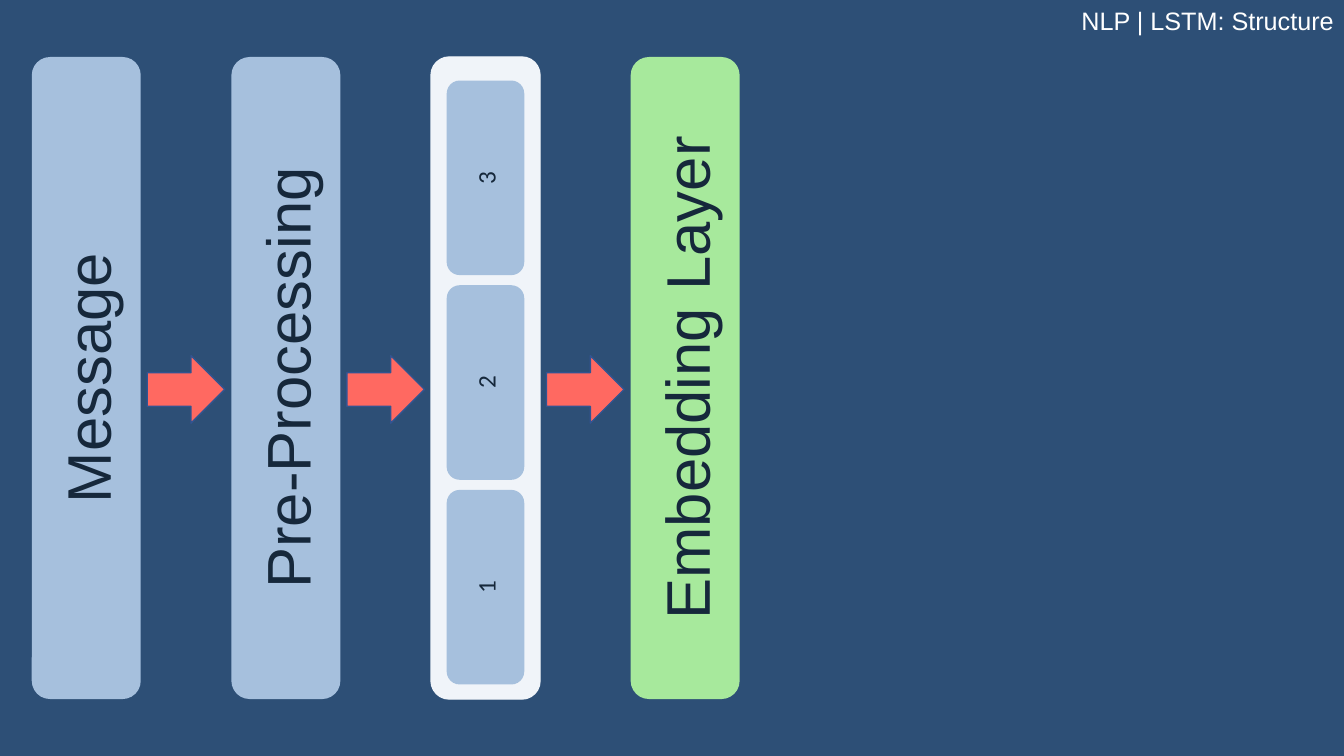
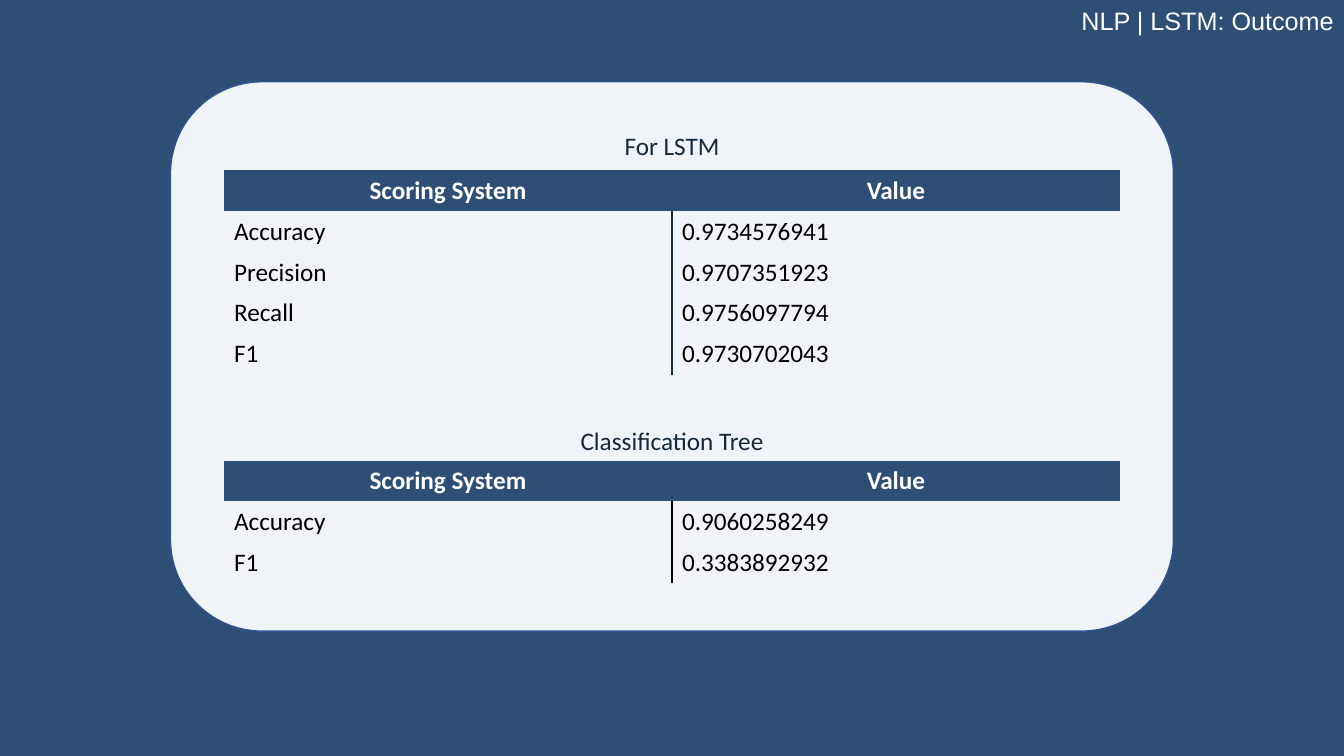
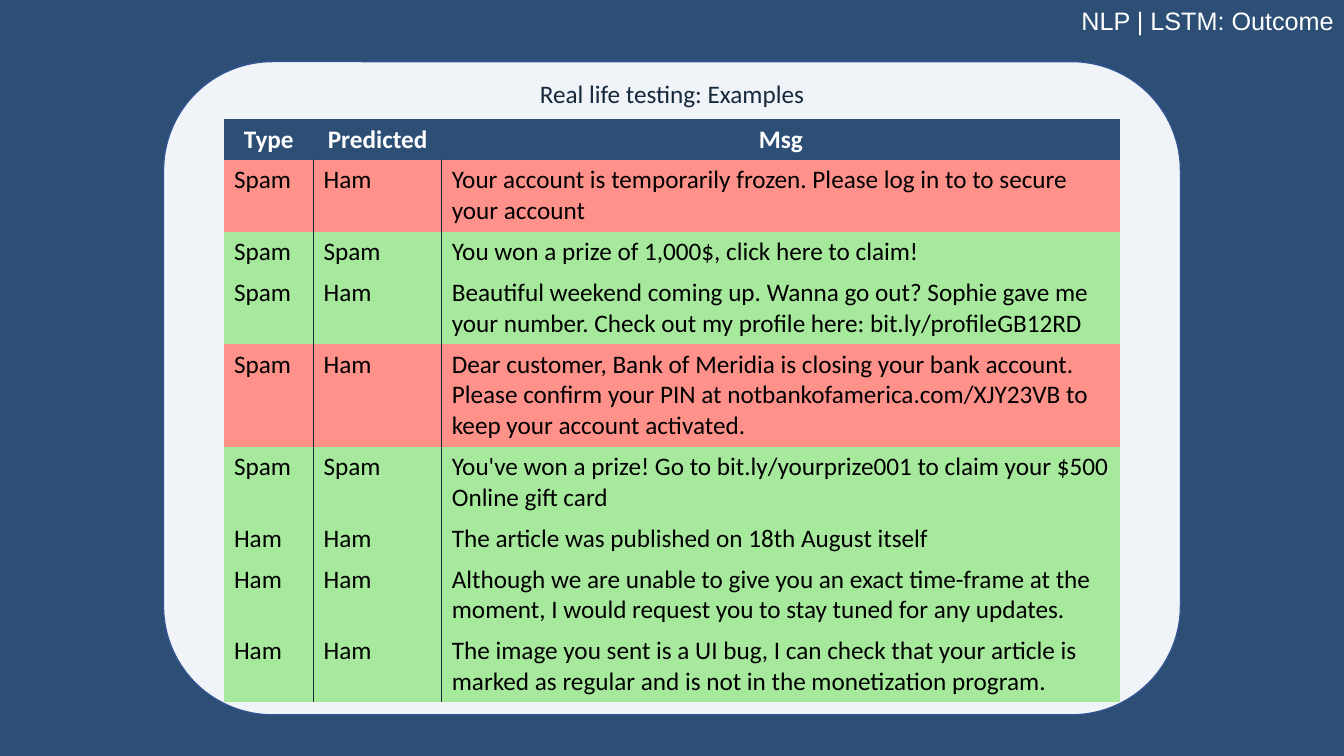
import pptx
import pptx.dml.color
import pptx.enum.shapes
import pptx.enum.text
import pptx.oxml
import pptx.oxml.ns
import pptx.util

COLUMNS, ROWS = 48, 27
SLIDE_WIDTH = pptx.util.Inches(13.333)
SLIDE_HEIGHT = pptx.util.Inches(7.5)
SHAPES = pptx.enum.shapes.MSO_SHAPE
ALIGN = pptx.enum.text.PP_ALIGN
ANCHOR = pptx.enum.text.MSO_ANCHOR

NAVY, INK, PALE, BLUE = "2D4F76", "16283B", "F0F4F9", "A6C0DD"
GREEN, CORAL, PINK, OUTLINE = "A7E99C", "FF6961", "FF918B", "325491"
WHITE, BLACK = "FFFFFF", "000000"

TEXT_HEIGHT = 1.44
TABLE_LEFT = 8
LINE_HEIGHT, CELL_PADDING = 1.1, 0.36
PLAIN_TABLE = "{2D5ABB26-0587-4C30-8999-92F81FD0307C}"

LSTM_SCORES = [
    ("Accuracy", "0.9734576941"),
    ("Precision", "0.9707351923"),
    ("Recall", "0.9756097794"),
    ("F1", "0.9730702043"),
]
TREE_SCORES = [("Accuracy", "0.9060258249"), ("F1", "0.3383892932")]
MESSAGES = [
    (PINK, 2, "Spam", "Ham", "Your account is temporarily frozen. Please log in to to secure your account"),
    (GREEN, 1, "Spam", "Spam", "You won a prize of 1,000$, click here to claim!"),
    (GREEN, 2, "Spam", "Ham", "Beautiful weekend coming up. Wanna go out? Sophie gave me your number. "
     "Check out my profile here: bit.ly/profileGB12RD"),
    (PINK, 3, "Spam", "Ham", "Dear customer, Bank of Meridia is closing your bank account. "
     "Please confirm your PIN at notbankofamerica.com/XJY23VB to keep your account activated."),
    (GREEN, 2, "Spam", "Spam", "You've won a prize! Go to bit.ly/yourprize001 to claim your $500 Online gift card"),
    (GREEN, 1, "Ham", "Ham", "The article was published on 18th August itself"),
    (GREEN, 2, "Ham", "Ham", "Although we are unable to give you an exact time-frame at the moment, "
     "I would request you to stay tuned for any updates."),
    (GREEN, 2, "Ham", "Ham", "The image you sent is a UI bug, I can check that your article is marked "
     "as regular and is not in the monetization program."),
]


def across(columns):
    return round(SLIDE_WIDTH * columns / COLUMNS)


def down(rows):
    return round(SLIDE_HEIGHT * rows / ROWS)


def area(left, top, width, height):
    return across(left), down(top), across(width), down(height)


def color(value):
    return pptx.dml.color.RGBColor.from_string(value)


def paint(fill, value):
    fill.solid()
    fill.fore_color.rgb = color(value)


def write_text(frame, text, size=18, font="Calibri", ink=INK, bold=False, align=ALIGN.CENTER):
    frame.word_wrap = True
    para = frame.paragraphs[0]
    para.alignment = align
    span = para.add_run()
    span.text = text
    span.font.size = pptx.util.Pt(size)
    span.font.name = font
    span.font.bold = bold
    span.font.color.rgb = color(ink)


def add_page(deck, title):
    page = deck.slides.add_slide(deck.slide_layouts.get_by_name("Title Only"))
    box = page.shapes.title
    box.left, box.top, box.width, box.height = area(27.43, 0, 20.57, TEXT_HEIGHT)
    box.text_frame.vertical_anchor = ANCHOR.TOP
    box.text_frame.auto_size = pptx.enum.text.MSO_AUTO_SIZE.NONE
    write_text(box.text_frame, title, font="Arial", ink=WHITE, align=ALIGN.RIGHT)
    return page


def add_block(page, kind, center, extent, fill, line=None, rotation=0):
    (x, y), (width, height) = center, extent
    block = page.shapes.add_shape(kind, *area(x - width / 2, y - height / 2, width, height))
    block.shadow.inherit = False
    block.rotation = rotation
    paint(block.fill, fill)
    if line:
        block.line.color.rgb = color(line)
        block.line.width = pptx.util.Pt(1)
    else:
        block.line.fill.background()
    return block


def add_bar(page, center, extent, fill, text="", line=None, **text_format):
    bar = add_block(page, SHAPES.ROUNDED_RECTANGLE, center, extent, fill, line, rotation=270)
    bar.text_frame.vertical_anchor = ANCHOR.MIDDLE
    if text:
        write_text(bar.text_frame, text, **text_format)


def add_panel(page, top, width, height):
    add_block(page, SHAPES.ROUNDED_RECTANGLE, (COLUMNS / 2, top + height / 2),
              (width, height), PALE, OUTLINE)


def add_caption(page, top, text):
    width = 15.28
    box = page.shapes.add_textbox(*area((COLUMNS - width) / 2, top, width, TEXT_HEIGHT))
    write_text(box.text_frame, text)


def add_border(cell, side, value):
    border = pptx.oxml.parse_xml(
        f'<a:{side} {pptx.oxml.ns.nsdecls("a")} w="12700"><a:solidFill>'
        f'<a:srgbClr val="{value}"/></a:solidFill></a:{side}>')
    cell._tc.get_or_add_tcPr().insert(0, border)


def fill_cell(cell, text, fill, **text_format):
    paint(cell.fill, fill)
    write_text(cell.text_frame, text, **text_format)


def add_grid(page, top, widths, header, records, divider=INK):
    heights = [CELL_PADDING + LINE_HEIGHT * lines for lines in [1] + [record[1] for record in records]]
    frame = page.shapes.add_table(len(heights), len(widths),
                                  *area(TABLE_LEFT, top, sum(widths), sum(heights)))
    table = frame.table
    table.horz_banding = False
    table._tbl.tblPr.find(pptx.oxml.ns.qn("a:tableStyleId")).text = PLAIN_TABLE
    for column, width in zip(table.columns, widths):
        column.width = across(width)
    for row, height in zip(table.rows, heights):
        row.height = down(height)
    for index, text in enumerate(header):
        fill_cell(table.cell(0, index), text, NAVY, ink=WHITE, bold=True)
    for number, (fill, lines, *texts) in enumerate(records, 1):
        for index, text in enumerate(texts):
            cell = table.cell(number, index)
            fill_cell(cell, text, fill, ink=BLACK, align=ALIGN.LEFT)
            if index < len(texts) - 1:
                add_border(cell, "lnR", divider)
            if index > 0:
                add_border(cell, "lnL", divider)


def add_scores(page, top, scores, divider):
    records = [(PALE, 1, *score) for score in scores]
    add_grid(page, top, (16, 16), ("Scoring System", "Value"), records, divider)


def build_structure(deck):
    page = add_page(deck, "NLP | LSTM: Structure")
    first, pitch, middle = 3.08, 7.13, 13.5
    stages = [("Message", BLUE, None), ("Pre-Processing", BLUE, None),
              ("", PALE, PALE), ("Embedding Layer", GREEN, None)]
    centers = [first + pitch * index for index in range(len(stages))]
    for x, (text, fill, line) in zip(centers, stages):
        add_bar(page, (x, middle), (22.93, 3.89), fill, text, line, size=44, font="Arial")
    for x in centers[:-1]:
        add_block(page, SHAPES.RIGHT_ARROW, (x + pitch / 2, 13.91), (2.77, 2.41), CORAL, OUTLINE)
    for number in (1, 2, 3):
        y = 13.66 + 7.31 * (2 - number)
        add_bar(page, (centers[2], y), (6.95, 2.77), BLUE, str(number))


def build_scores(deck):
    page = add_page(deck, "NLP | LSTM: Outcome")
    add_panel(page, 2.92, 35.82, 19.62)
    add_caption(page, 4.46, "For LSTM")
    add_scores(page, 6.08, LSTM_SCORES, INK)
    add_caption(page, 15.01, "Classification Tree")
    add_scores(page, 16.45, TREE_SCORES, BLACK)


def build_examples(deck):
    page = add_page(deck, "NLP | LSTM: Outcome")
    add_panel(page, 2.2, 36.32, 23.33)
    add_caption(page, 2.63, "Real life testing: Examples")
    add_grid(page, 4.25, (3.2, 4.58, 24.22), ("Type", "Predicted", "Msg"), MESSAGES)


def main():
    deck = pptx.Presentation()
    deck.slide_width, deck.slide_height = SLIDE_WIDTH, SLIDE_HEIGHT
    paint(deck.slide_master.background.fill, NAVY)
    build_structure(deck)
    build_scores(deck)
    build_examples(deck)
    deck.save("out.pptx")


if __name__ == "__main__":
    main()
